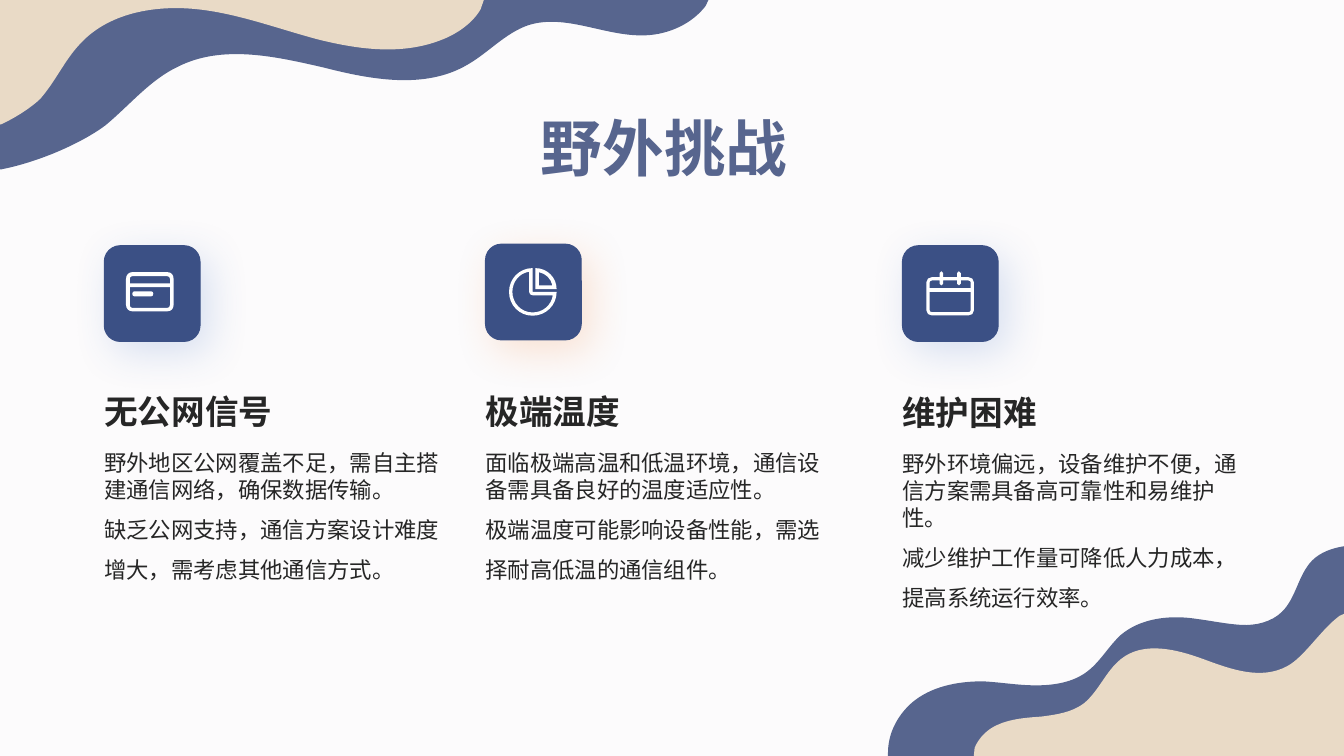
from lxml import etree
from pptx import Presentation
from pptx.dml.color import RGBColor
from pptx.enum.shapes import MSO_SHAPE
from pptx.enum.text import MSO_ANCHOR, MSO_AUTO_SIZE, PP_ALIGN
from pptx.oxml.ns import qn
from pptx.util import Pt

COLORS = {
    "background": "FCFBFC",
    "slate": "57658E",
    "sand": "E9DAC6",
    "tile": "3B5085",
    "white": "FFFFFF",
    "text": "262626",
    "blue_glow": "4472C4",
    "orange_glow": "ED7D31",
}
BODY_FONT = "Noto Sans CJK SC"
TITLE_FONT = "TeX Gyre Adventor"
TILE_SIZE = 68.4
COLUMN_WIDTH = 254.9

WAVES = [
    ("slate", """M 0 0 L 506 0 L 504 4.3 C 494 17.3 477.4 24.5 461.5 25.2
        C 432.7 26.6 404.6 9.4 377.3 18 C 360.7 23.8 349.2 37.4 334.1 46.1
        C 303.8 64.1 265 56.9 231.1 48.2 C 196.6 40.3 159.1 31.7 127.4 47.5
        C 107.3 56.9 92.9 74.9 75.6 89.3 C 60.5 100.8 30.2 115.2 0.7 121 L 0 121"""),
    ("sand", """M 0 0 L 345.6 0 L 343.4 6.5 C 337.7 16.6 326.2 24.5 314.6 28.8
        C 286.6 39.6 255.6 35.3 226.8 28.1 C 197.3 20.2 169.2 9.4 139.7 6.5
        C 110.2 3.6 77 9.4 56.9 31.7 C 46.1 43.2 39.6 58.3 28.8 70.6
        C 23 76.3 12.2 83.5 1.4 88.6 L 0 89"""),
    ("slate", """M 960 390.2 L 960 540.5 L 634.3 540.5 L 634.3 537.8
        C 634.3 524.2 640.8 511.2 651.6 501.8 C 665.3 490.3 684 486.7 702 486.7
        C 715 487.4 727.2 489.6 740.2 489.6 C 753.1 489.6 766.8 487.4 776.9 479.5
        C 786.2 472.3 792 461.5 800.6 453.6 C 815 441.4 835.9 439.2 854.6 442.1
        C 865.4 443.5 875.5 445.7 886.3 446.4 C 897.1 447.1 908.6 444.2 915.8 437
        C 925.9 427 927.4 410.4 937.4 400.3 C 943.2 394.6 951.1 391.7 960 390.2"""),
    ("sand", """M 960 438.5 L 960 540.5 L 695.5 540.5 L 696.2 534.2
        C 699.1 527 705.6 520.6 712.8 517.7 C 722.2 513.4 733.7 512.6 743.8 511.9
        C 754.6 510.5 765.4 509 774 502.6 C 784.8 493.9 789.8 479.5 800.6 470.9
        C 816.5 457.9 840.2 463.7 859.7 470.9 C 879.1 478.1 900.7 486 919.4 475.9
        C 931.7 469.4 943.2 450 956.9 439.9"""),
]

CARD_ICON = """M 4.5 0 L 29.5 0 C 32.4 0 34 2 34 4.9 L 34 23.4 C 34 26 32.4 28 29.5 28
    L 4.5 28 C 2 28 0 26 0 23.4 L 0 4.9 C 0 2 2 0 4.5 0
    M 4.5 2.9 C 3.4 2.9 2.7 3.6 2.7 4.9 L 2.7 8 L 31.5 8 L 31.5 4.9
    C 31.5 3.6 30.5 2.9 29.5 2.9
    M 2.7 10.8 L 2.7 23.5 C 2.7 24.6 3.4 25.6 4.5 25.6 L 29.5 25.6
    C 30.5 25.6 31.5 24.6 31.5 23.5 L 31.5 10.8
    M 6 13.7 L 18 13.7 C 20 13.7 20 17.3 18 17.3 L 6 17.3 C 4 17.3 4 13.7 6 13.7"""
PIE_ICON = """M 16.8 0 L 16.8 17 L 34 17 C 34 26.5 26.4 34 16.8 34
    C 7.4 34 0 26.5 0 17 C 0 7.6 7.4 0 16.8 0
    M 14.4 2.6 C 7.5 3.6 2.4 9.6 2.4 17 C 2.4 25 8.7 31.7 16.8 31.7
    C 24.2 31.7 30.3 26.5 31.3 19.4 L 16.8 19.4 C 15.4 19.4 14.4 18.4 14.4 17
    M 18.8 0 C 27.3 0 34 6.7 34 15.1 L 18.8 15.1
    M 21.4 2.9 L 21.4 12.4 L 31 12.4 C 30 7.5 26.3 3.9 21.4 2.9"""
CALENDAR_ICON = """M 4 4.3 L 9.5 4.3 L 9.5 1.4 C 9.5 -0.4 12 -0.4 12 1.4 L 12 4.3
    L 22 4.3 L 22 1.4 C 22 -0.4 24.6 -0.4 24.6 1.4 L 24.6 4.3 L 30 4.3
    C 32.2 4.3 34 5.8 34 8 L 34 28 C 34 30.2 32.2 31.7 30 31.7 L 4 31.7
    C 1.8 31.7 0 30.2 0 28 L 0 8 C 0 5.8 1.8 4.3 4 4.3
    M 4 6.7 C 3 6.7 2.4 7.3 2.4 8 L 2.4 12.2 L 31.7 12.2 L 31.7 8
    C 31.7 7.3 31 6.7 30 6.7 L 24.6 6.7 L 24.6 9 C 24.6 10.6 22 10.6 22 9 L 22 6.7
    L 12 6.7 L 12 9 C 12 10.6 9.5 10.6 9.5 9 L 9.5 6.7
    M 2.4 14.8 L 2.4 28 C 2.4 28.8 3 29.3 4 29.3 L 30 29.3
    C 31 29.3 31.7 28.8 31.7 28 L 31.7 14.8"""

# left, tile top, heading top, glow, icon, icon left, icon top, heading, body
CHALLENGES = [
    (74.5, 175.5, 260.8, "blue_glow", CARD_ICON, 90, 194.4, "无公网信号",
     ["野外地区公网覆盖不足，需自主搭建通信网络，确保数据传输。",
      "缺乏公网支持，通信方案设计难度增大，需考虑其他通信方式。"]),
    (346.8, 174.4, 260.8, "orange_glow", PIE_ICON, 363.6, 191.5, "极端温度",
     ["面临极端高温和低温环境，通信设备需具备良好的温度适应性。",
      "极端温度可能影响设备性能，需选择耐高低温的通信组件。"]),
    (644.6, 175.5, 261.8, "blue_glow", CALENDAR_ICON, 661.7, 193.7, "维护困难",
     ["野外环境偏远，设备维护不便，通信方案需具备高可靠性和易维护性。",
      "减少维护工作量可降低人力成本，提高系统运行效率。"]),
]


def rgb(color):
    return RGBColor.from_string(COLORS[color])


def read_contours(outline):
    """Return the points of each closed contour, in hundredths of a point."""
    for contour in outline.split("M")[1:]:
        numbers = [round(float(n) * 100) for n in contour.split() if n not in "LC"]
        yield list(zip(numbers[::2], numbers[1::2]))


def bend_curves(outline_shape, outline):
    """Join the three line ends of each C command into one cubic curve."""
    line_ends = outline_shape._element.iter(qn("a:lnTo"))
    line_ends = iter(list(line_ends))
    for command in (token for token in outline.split() if token in "LC"):
        segment = next(line_ends)
        if command == "C":
            segment.tag = qn("a:cubicBezTo")
            for _ in range(2):
                line_end = next(line_ends)
                segment.append(line_end[0])
                line_end.getparent().remove(line_end)


def add_outline(slide, outline, color, left=0, top=0):
    first, *others = read_contours(outline)
    builder = slide.shapes.build_freeform(*first[0], scale=Pt(1) / 100)
    builder.add_line_segments(first[1:], close=False)
    for points in others:
        builder.move_to(*points[0])
        builder.add_line_segments(points[1:], close=False)
    outline_shape = builder.convert_to_shape(Pt(left), Pt(top))
    bend_curves(outline_shape, outline)
    outline_shape.shadow.inherit = False
    outline_shape.fill.solid()
    outline_shape.fill.fore_color.rgb = rgb(color)
    outline_shape.line.fill.background()


def add_tile(slide, left, top, glow):
    tile = slide.shapes.add_shape(MSO_SHAPE.ROUNDED_RECTANGLE, Pt(left), Pt(top),
                                  Pt(TILE_SIZE), Pt(TILE_SIZE))
    tile.fill.solid()
    tile.fill.fore_color.rgb = rgb("tile")
    tile.line.color.rgb = rgb("tile")
    tile.line.width = Pt(0.75)
    tile.shadow.inherit = False
    effects = tile._element.spPr.find(qn("a:effectLst"))
    shadow = etree.SubElement(effects, qn("a:outerShdw"), blurRad=str(Pt(30)),
                              dist=str(Pt(10)), dir=str(50 * 60000), algn="ctr",
                              rotWithShape="0")
    shade = etree.SubElement(shadow, qn("a:srgbClr"), val=COLORS[glow])
    etree.SubElement(shade, qn("a:alpha"), val="20000")


def add_text(slide, left, top, width, height, lines, size, spacings, bold=False,
             color="text", font=BODY_FONT):
    """Add a text box with one line spacing for each paragraph."""
    frame = slide.shapes.add_textbox(Pt(left), Pt(top), Pt(width), Pt(height)).text_frame
    frame.word_wrap = True
    frame.margin_left = frame.margin_right = frame.margin_top = frame.margin_bottom = 0
    frame.text = "\n".join(lines)
    for paragraph, spacing in zip(frame.paragraphs, spacings):
        paragraph.line_spacing = spacing
        paragraph._p.get_or_add_pPr().set("hangingPunct", "0")
        for run in paragraph.runs:
            run.font.size = Pt(size)
            run.font.bold = bold
            run.font.name = font
            run.font.color.rgb = rgb(color)
            etree.SubElement(run.font._element, qn("a:ea"), typeface=font)
    return frame


def add_challenge(slide, left, tile_top, heading_top, glow, icon, icon_left, icon_top,
                  heading, body):
    add_tile(slide, left, tile_top, glow)
    add_outline(slide, icon, "white", icon_left, icon_top)
    heading_frame = add_text(slide, left, heading_top, COLUMN_WIDTH, 56.9, [heading], 24,
                             [1.3], bold=True)
    heading_frame.vertical_anchor = MSO_ANCHOR.MIDDLE
    add_text(slide, left, heading_top + 59.8, COLUMN_WIDTH, 159.1, body, 16, [1.0, 1.5])


def add_title(slide, title):
    frame = add_text(slide, 378.4, 74.9, 192, 60.5, [title], 44, [1.0], bold=True,
                     color="slate", font=TITLE_FONT)
    frame.margin_left = frame.margin_right = Pt(7.2)
    frame.margin_top = frame.margin_bottom = Pt(3.6)
    frame.word_wrap = False
    frame.auto_size = MSO_AUTO_SIZE.SHAPE_TO_FIT_TEXT
    frame.paragraphs[0].alignment = PP_ALIGN.CENTER


def main():
    deck = Presentation()
    deck.slide_width, deck.slide_height = Pt(960), Pt(540)
    slide = deck.slides.add_slide(deck.slide_layouts[6])
    slide.background.fill.solid()
    slide.background.fill.fore_color.rgb = rgb("background")
    for color, outline in WAVES:
        add_outline(slide, outline, color)
    for challenge in CHALLENGES:
        add_challenge(slide, *challenge)
    add_title(slide, "野外挑战")
    deck.save("out.pptx")


if __name__ == "__main__":
    main()
